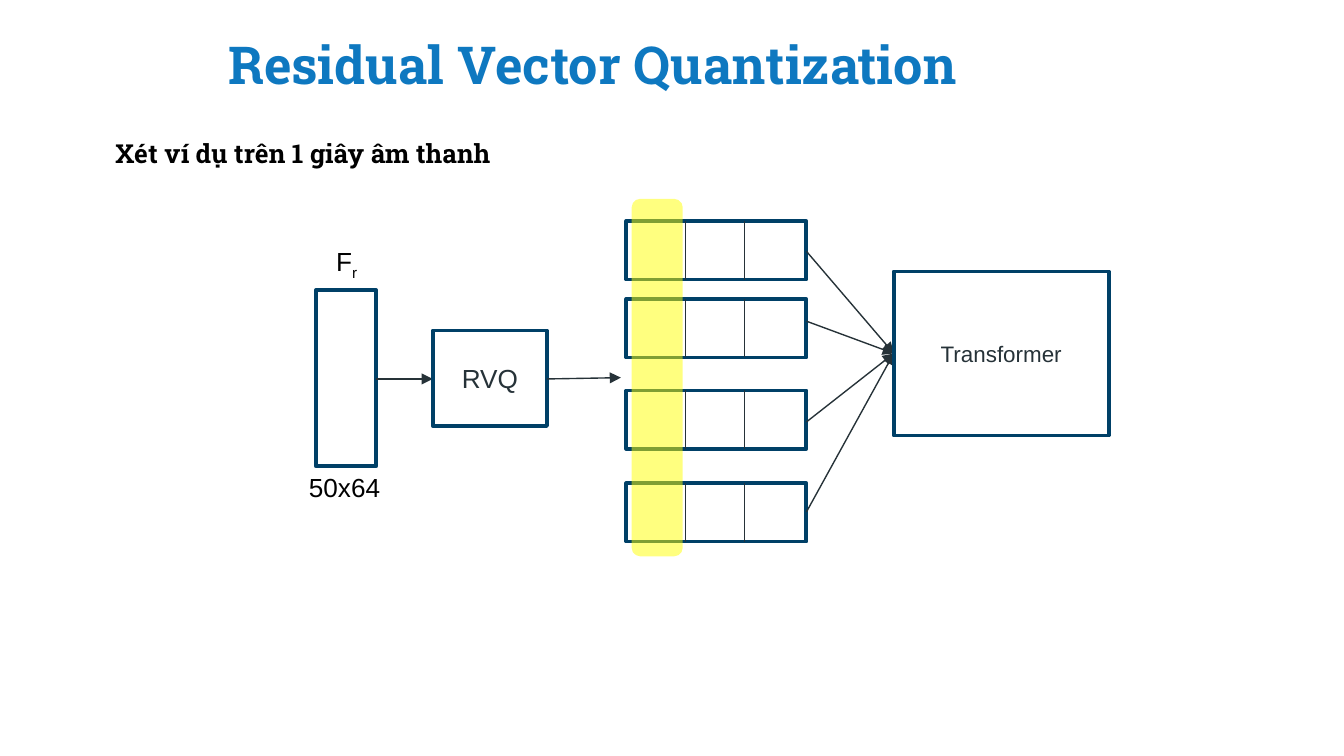
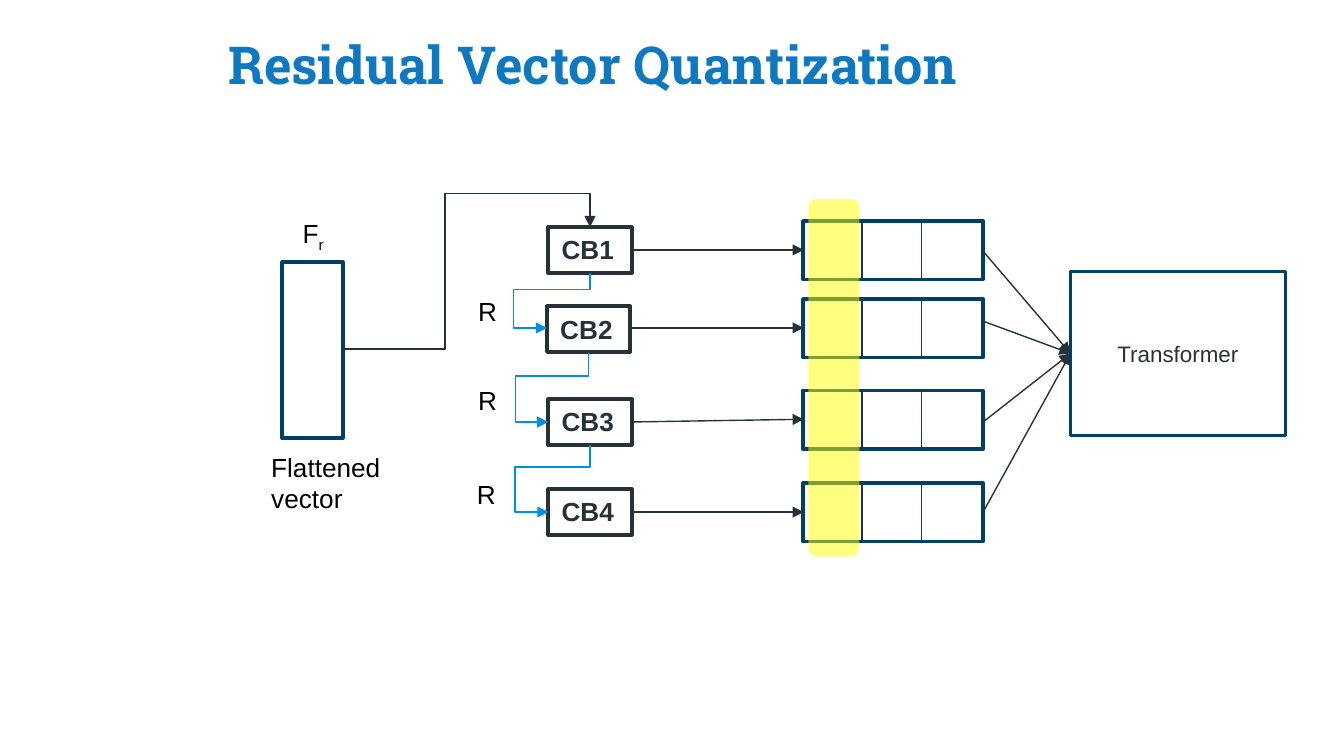
import pptx
import pptx.util
import pptx.dml.color
import pptx.enum.shapes
import pptx.enum.text
import pptx.oxml.ns
import pptx.oxml.xmlchemy

WIDTH = pptx.util.Inches(10)
HEIGHT = pptx.util.Inches(5.625)
COL = WIDTH / 100
ROW = HEIGHT / 56.25

TITLE_BLUE = "0E78C0"
NAVY = "004067"
INK = "263238"
ELBOW_INK = "253137"
RESIDUAL_BLUE = "008EE5"
YELLOW = "FFFF00"
WHITE = "FFFFFF"
BLACK = "000000"
BODY_FONT = "Arial"
HEAD_FONT = "Roboto Slab"

SHAPE = pptx.enum.shapes.MSO_SHAPE
CONNECTOR = pptx.enum.shapes.MSO_CONNECTOR
ANCHOR = pptx.enum.text.MSO_ANCHOR
ALIGN = pptx.enum.text.PP_ALIGN

CODE_TOPS = (16.45, 22.25, 29.05, 35.95)
CODE_HEIGHT = 4.35
CODE_WIDTH = 13.4
CODE_LEFT = 46.6
FAN_STARTS = (18.7, 23.9, 31.4, 38.1)


def color(value):
    return pptx.dml.color.RGBColor.from_string(value)


def cells(*lengths):
    return [round(v * (ROW if i % 2 else COL)) for i, v in enumerate(lengths)]


def child(parent, tag, **attrs):
    el = pptx.oxml.xmlchemy.OxmlElement(tag)
    for key, value in attrs.items():
        el.set(key, str(value))
    parent.append(el)
    return el


def write(tf, text, size=14, font=BODY_FONT, fill=BLACK, bold=False,
          align=ALIGN.LEFT, anchor=ANCHOR.TOP, sub=""):
    tf.word_wrap = True
    tf.vertical_anchor = anchor
    for i, line in enumerate(text.split("\n")):
        p = tf.add_paragraph() if i else tf.paragraphs[0]
        p.alignment = align
        for part in filter(None, (line, sub)):
            r = p.add_run()
            r.text = part
            r.font.size = pptx.util.Pt(size)
            r.font.name = font
            r.font.bold = bold
            r.font.color.rgb = color(fill)
            if part == sub:
                r._r.get_or_add_rPr().set("baseline", "-25000")


def label(s, x, y, w, h, text, **fmt):
    tf = s.shapes.add_textbox(*cells(x, y, w, h)).text_frame
    write(tf, text, **fmt)
    return tf


def box(s, x, y, w, h, text="", line=NAVY, **fmt):
    sp = s.shapes.add_shape(SHAPE.RECTANGLE, *cells(x, y, w, h))
    sp.shadow.inherit = False
    sp.fill.solid()
    sp.fill.fore_color.rgb = color(WHITE)
    sp.line.color.rgb = color(line)
    sp.line.width = pptx.util.Pt(2)
    if text:
        write(sp.text_frame, text, fill=INK, **fmt)


def highlight(s, x, y, w, h):
    sp = s.shapes.add_shape(SHAPE.ROUNDED_RECTANGLE, *cells(x, y, w, h))
    sp.shadow.inherit = False
    sp.fill.solid()
    sp.fill.fore_color.rgb = color(YELLOW)
    sp.line.fill.background()
    srgb = sp._element.spPr.find(".//" + pptx.oxml.ns.qn("a:srgbClr"))
    child(srgb, "a:alpha", val=50000)


def line(s, x1, y1, x2, y2, arrow=True, stroke=INK, width=0.75,
         kind=CONNECTOR.STRAIGHT):
    c = s.shapes.add_connector(kind, *cells(x1, y1, x2, y2))
    c.line.color.rgb = color(stroke)
    c.line.width = pptx.util.Pt(width)
    spPr = c._element.spPr
    if arrow:
        child(spPr.get_or_add_ln(), "a:tailEnd", type="triangle")
    child(spPr, "a:effectLst")
    return c


def elbow(s, x1, y1, x2, y2, bends, turned=False, **fmt):
    if turned:
        cx, cy = (x1 + x2) / 2, (y1 + y2) / 2
        dx, dy = (y2 - y1) / 2, (x1 - x2) / 2
        x1, y1, x2, y2 = cx - dx, cy - dy, cx + dx, cy + dy
    c = line(s, x1, y1, x2, y2, kind=CONNECTOR.ELBOW, **fmt)
    spPr = c._element.spPr
    if turned:
        spPr.find(pptx.oxml.ns.qn("a:xfrm")).set("rot", "5400000")
    geom = spPr.find(pptx.oxml.ns.qn("a:prstGeom"))
    geom.set("prst", "bentConnector4")
    for el in list(geom):
        geom.remove(el)
    guides = child(geom, "a:avLst")
    for i, bend in enumerate(bends, 1):
        child(guides, "a:gd", name=f"adj{i}", fmla=f"val {round(bend * 100000)}")


def new_slide(prs):
    s = prs.slides.add_slide(prs.slide_layouts[6])
    tf = label(s, 16, -1.1, 64.7, 11.7, "Residual Vector Quantization", size=28,
               font=HEAD_FONT, fill=TITLE_BLUE, bold=True, anchor=ANCHOR.MIDDLE)
    tf.margin_top = tf.margin_bottom = pptx.util.Inches(0.1)
    return s


def feature(s, x, y):
    box(s, x, y, 4.5, 13.1)
    label(s, x - 2.4, y - 3.8, 9.4, 4, "F", sub="r", align=ALIGN.CENTER)


def codes_to_transformer(s, shift=0):
    left = CODE_LEFT + shift
    target = left + 19.9
    for top in CODE_TOPS:
        box(s, left, top, CODE_WIDTH, CODE_HEIGHT)
        for step in (1, 2):
            x = left + 4.4 * step
            line(s, x, top, x, top + CODE_HEIGHT, arrow=False)
    for y in FAN_STARTS:
        line(s, left + CODE_WIDTH, y, target, 26.3)
    box(s, target, 20.2, 16, 12.2, "Transformer", size=12,
        align=ALIGN.CENTER, anchor=ANCHOR.MIDDLE)
    highlight(s, left + 0.4, 14.8, 3.8, 26.6)


def overview(prs):
    s = new_slide(prs)
    label(s, 7.6, 9.7, 50, 3.4, "Xét ví dụ trên 1 giây âm thanh",
          font=HEAD_FONT, bold=True)
    feature(s, 23.5, 21.6)
    label(s, 22, 34.6, 11.9, 3.4, "50x64")
    line(s, 28, 28.2, 32.2, 28.2)
    box(s, 32.2, 24.6, 8.5, 7.1, "RVQ", align=ALIGN.CENTER, anchor=ANCHOR.MIDDLE)
    line(s, 40.7, 28.2, 46.2, 28.1)
    codes_to_transformer(s)


def residual_chain(prs):
    s = new_slide(prs)
    feature(s, 21, 19.5)
    label(s, 19.2, 33.1, 16.3, 5.7, "Flattened\nvector")
    codes_to_transformer(s, shift=13.15)
    elbow(s, 25.4, 26, 43.9, 16.9, (0.415, 1.275), stroke=ELBOW_INK, width=1)
    books = ((40.8, 16.9, 18.6, 18.6), (40.7, 22.8, 24.4, 24.4),
             (40.8, 29.7, 31.4, 31.2), (40.8, 36.4, 38.1, 38.1))
    for i, (x, y, start, end) in enumerate(books, 1):
        box(s, x, y, 6.2, 3.4, f"CB{i}", line=INK, bold=True)
        line(s, 47, start, 59.8, end)
    residuals = ((34.6, 21.5, (0.3, 1.78)), (34.6, 28.1, (0.34, 1.82)),
                 (34.5, 35.1, (0.33, 1.8)))
    for upper, lower, (x, y, bends) in zip(books, books[1:], residuals):
        elbow(s, upper[0] + 3.1, upper[1] + 3.4, lower[0], lower[2], bends,
              turned=True, stroke=RESIDUAL_BLUE)
        label(s, x, y, 3.1, 3.4, "R")


def main():
    prs = pptx.Presentation()
    prs.slide_width = WIDTH
    prs.slide_height = HEIGHT
    overview(prs)
    residual_chain(prs)
    prs.save("out.pptx")


if __name__ == "__main__":
    main()
